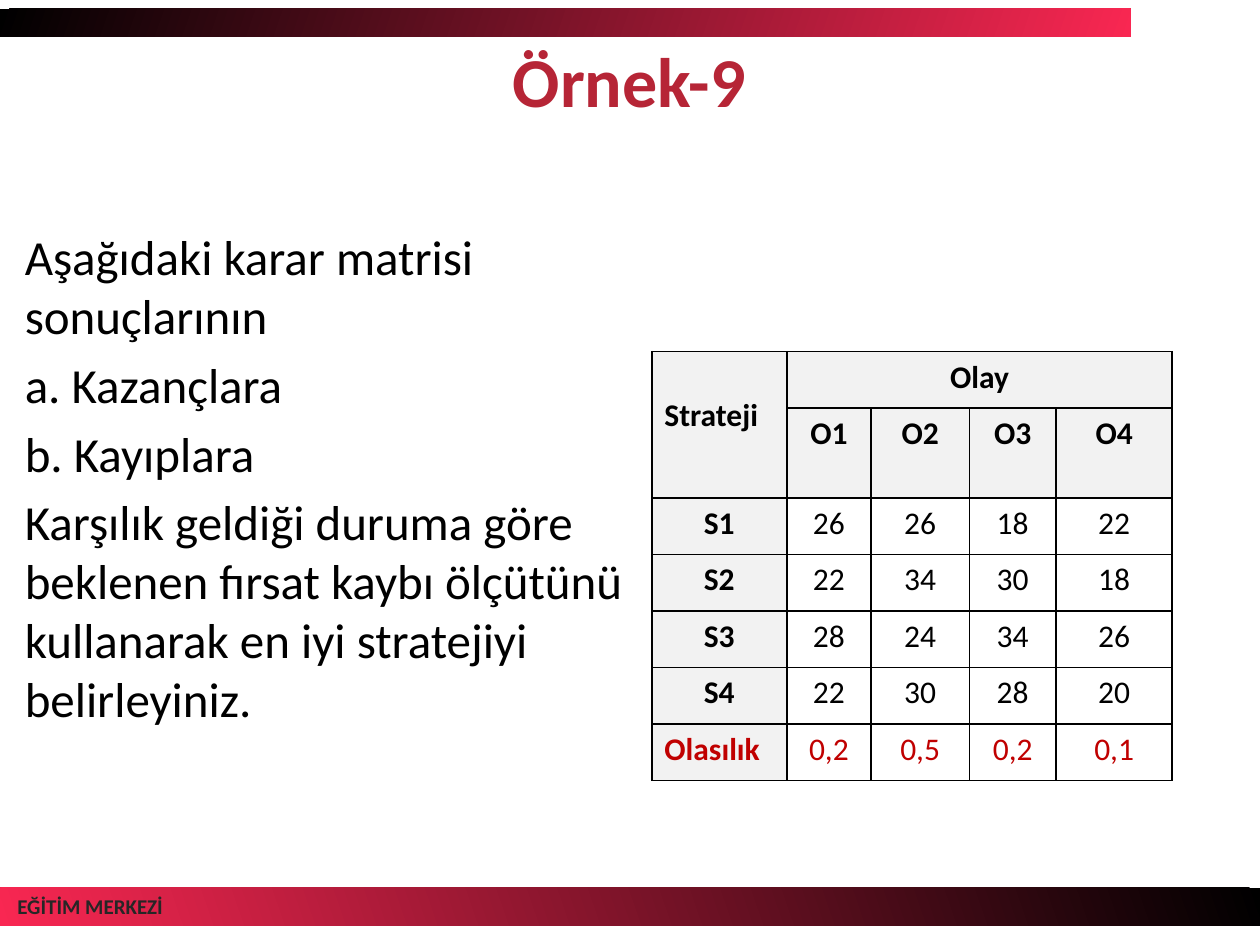
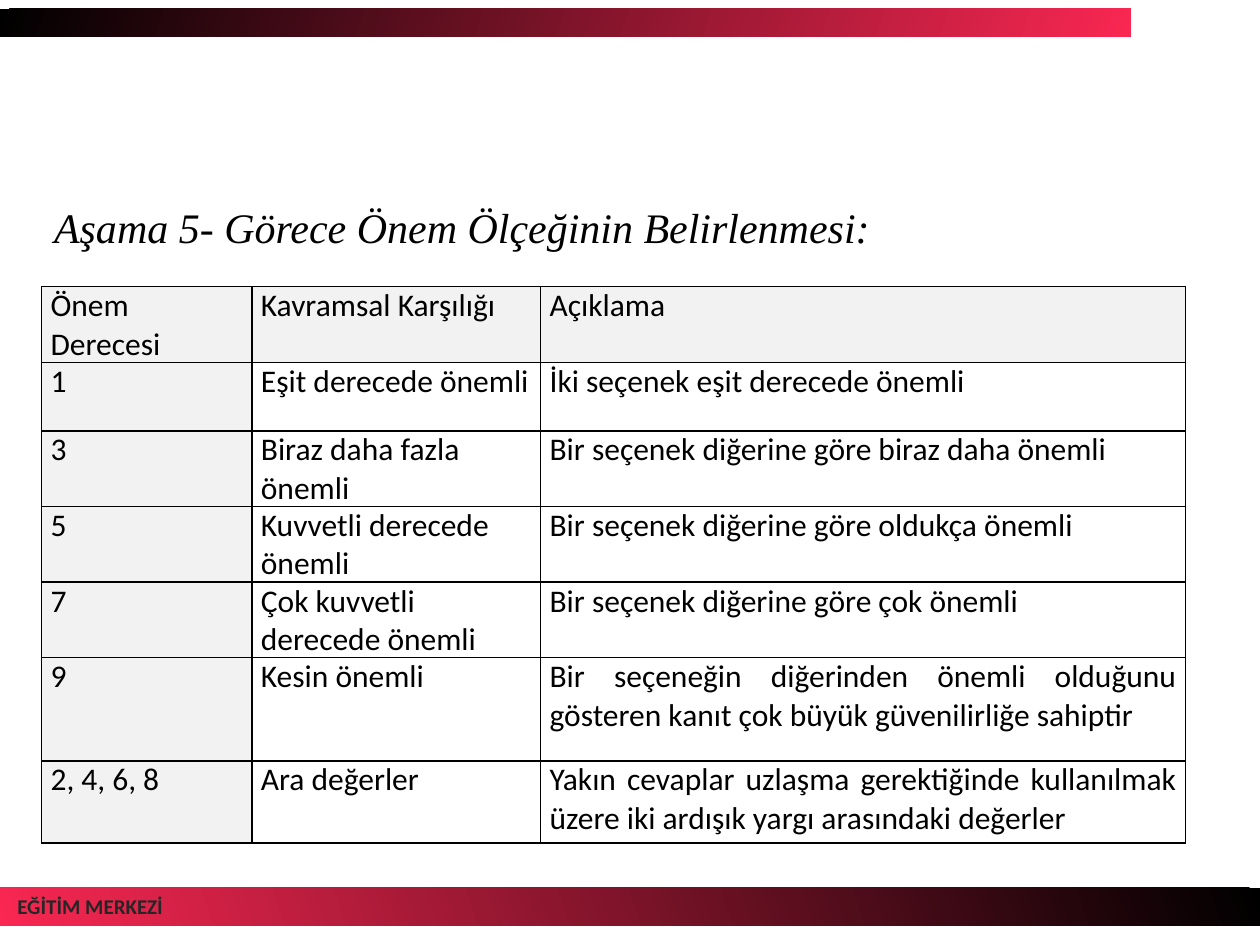
from dataclasses import dataclass

from lxml.etree import SubElement
from pptx import Presentation
from pptx.dml.color import RGBColor
from pptx.enum.shapes import MSO_SHAPE
from pptx.enum.text import MSO_ANCHOR, PP_ALIGN
from pptx.oxml.ns import qn
from pptx.util import Cm, Pt


@dataclass(frozen=True)
class Theme:
    black: str = "000000"
    white: str = "FFFFFF"
    band_red: str = "F92752"
    title_red: str = "B62536"
    accent_red: str = "C00000"
    footer_grey: str = "262626"
    cell_grey: str = "F2F2F2"
    font: str = "Calibri"
    serif: str = "Times New Roman"
    title_size: int = 40
    body_size: int = 28
    stage_size: int = 24
    table_size: int = 18
    footer_size: int = 12
    border_width: int = 1


THEME = Theme()

QUESTION = [
    "Aşağıdaki karar matrisi sonuçlarının",
    "a. Kazançlara",
    "b. Kayıplara",
    "Karşılık geldiği duruma göre beklenen fırsat kaybı ölçütünü "
    "kullanarak en iyi stratejiyi belirleyiniz.",
]

DECISION_MATRIX = [
    ["Strateji", "Olay", "", "", ""],
    ["", "O1", "O2", "O3", "O4"],
    ["S1", "26", "26", "18", "22"],
    ["S2", "22", "34", "30", "18"],
    ["S3", "28", "24", "34", "26"],
    ["S4", "22", "30", "28", "20"],
    ["Olasılık", "0,2", "0,5", "0,2", "0,1"],
]

IMPORTANCE_SCALE = [
    ["Önem Derecesi", "Kavramsal Karşılığı", "Açıklama"],
    ["1", "Eşit derecede önemli", "İki seçenek eşit derecede önemli"],
    ["3", "Biraz daha fazla önemli", "Bir seçenek diğerine göre biraz daha önemli"],
    ["5", "Kuvvetli derecede önemli", "Bir seçenek diğerine göre oldukça önemli"],
    ["7", "Çok kuvvetli derecede önemli", "Bir seçenek diğerine göre çok önemli"],
    ["9", "Kesin önemli",
     "Bir seçeneğin diğerinden önemli olduğunu gösteren kanıt çok büyük "
     "güvenilirliğe sahiptir"],
    ["2, 4, 6, 8", "Ara değerler",
     "Yakın cevaplar uzlaşma gerektiğinde kullanılmak üzere iki ardışık yargı "
     "arasındaki değerler"],
]


def style_paragraph(paragraph, size, color=THEME.black, bold=False, italic=False,
                    font=THEME.font, align=PP_ALIGN.LEFT):
    paragraph.alignment = align
    for span in paragraph.runs:
        span.font.name = font
        span.font.size = Pt(size)
        span.font.bold = bold
        span.font.italic = italic
        span.font.color.rgb = RGBColor.from_string(color)


def add_text(page, left, top, width, height, lines, size, wrap=True,
             anchor=MSO_ANCHOR.TOP, gap=0, **style):
    box = page.shapes.add_textbox(Cm(left), Cm(top), Cm(width), Cm(height))
    frame = box.text_frame
    frame.word_wrap = wrap
    frame.vertical_anchor = anchor
    frame.text = "\n".join(lines)
    for index, paragraph in enumerate(frame.paragraphs):
        style_paragraph(paragraph, size, **style)
        if index and gap:
            paragraph.space_before = Pt(gap)


def add_band(page, top, width, height, mirrored=False):
    band = page.shapes.add_shape(MSO_SHAPE.RECTANGLE, 0, Cm(top), Cm(width), Cm(height))
    band.shadow.inherit = False
    band.line.fill.background()
    band.fill.gradient()
    band.fill.gradient_angle = 341
    for stop, color in zip(band.fill.gradient_stops, (THEME.black, THEME.band_red)):
        stop.color.rgb = RGBColor.from_string(color)
    if mirrored:
        band._element.spPr.xfrm.set("flipH", "1")


def add_page(deck):
    page = deck.slides.add_slide(deck.slide_layouts[6])
    add_band(page, 17.9, 25.4, 0.76, mirrored=True)
    add_band(page, 0.18, 22.8, 0.56)
    add_text(page, 0.1, 17.88, 3.94, 0.76, ["EĞİTİM MERKEZİ"], THEME.footer_size,
             wrap=False, color=THEME.footer_grey, bold=True)
    return page


def set_borders(cell):
    properties = cell._tc.get_or_add_tcPr()
    for side in ("lnL", "lnR", "lnT", "lnB"):
        line = SubElement(properties, qn(f"a:{side}"), w=str(Pt(THEME.border_width)))
        fill = SubElement(line, qn("a:solidFill"))
        SubElement(fill, qn("a:srgbClr"), val=THEME.black)


def add_grid(page, left, top, widths, heights, rows, header_rows, cell_style):
    frame = page.shapes.add_table(len(rows), len(widths), Cm(left), Cm(top),
                                  Cm(sum(widths)), Cm(sum(heights)))
    table = frame.table
    table.first_row = table.horz_banding = False
    for column, width in zip(table.columns, widths):
        column.width = Cm(width)
    for row, height in zip(table.rows, heights):
        row.height = Cm(height)
    for row_index, row in enumerate(rows):
        for column_index, text in enumerate(row):
            cell = table.cell(row_index, column_index)
            set_borders(cell)
            shaded = row_index < header_rows or column_index == 0
            cell.fill.solid()
            cell.fill.fore_color.rgb = RGBColor.from_string(
                THEME.cell_grey if shaded else THEME.white)
            cell.text_frame.text = text
            style_paragraph(cell.text_frame.paragraphs[0], THEME.table_size,
                            **cell_style(row_index, column_index))
    return table


def matrix_style(row, column):
    row_title = column == 0 and row in (0, len(DECISION_MATRIX) - 1)
    return {
        "bold": row < 2 or column == 0,
        "color": THEME.accent_red if row == len(DECISION_MATRIX) - 1 else THEME.black,
        "align": PP_ALIGN.LEFT if row_title else PP_ALIGN.CENTER,
    }


def scale_style(row, column):
    return {"align": PP_ALIGN.LEFT if column == 1 and row else PP_ALIGN.JUSTIFY}


def add_example_page(deck):
    page = add_page(deck)
    add_text(page, 0.25, 1, 24.87, 1.22, ["Örnek-9"], THEME.title_size,
             anchor=MSO_ANCHOR.MIDDLE, color=THEME.title_red, bold=True,
             align=PP_ALIGN.CENTER)
    add_text(page, 0.25, 4.45, 12.88, 10.67, QUESTION, THEME.body_size, gap=5.6)
    heights = [1.14, 1.81] + [1.14] * 5
    table = add_grid(page, 13.14, 7.09, [2.72, 1.7, 1.98, 1.75, 2.34], heights,
                     DECISION_MATRIX, 2, matrix_style)
    table.cell(0, 0).merge(table.cell(1, 0))
    table.cell(0, 1).merge(table.cell(0, 4))
    table.cell(0, 0).margin_top = Cm(0.9)


def add_scale_page(deck):
    page = add_page(deck)
    add_text(page, 0.84, 3.94, 23.93, 1.27,
             ["Aşama 5- Görece Önem Ölçeğinin Belirlenmesi:"], THEME.stage_size,
             italic=True, font=THEME.serif)
    heights = [1.52, 1.38, 1.52, 1.52, 1.52, 2.08, 1.65]
    table = add_grid(page, 0.84, 5.78, [4.24, 5.82, 13], heights,
                     IMPORTANCE_SCALE, 1, scale_style)
    for cell in table.iter_cells():
        cell.margin_left = cell.margin_right = Cm(0.18)
        cell.margin_top = cell.margin_bottom = 0


def main():
    deck = Presentation()
    deck.slide_width, deck.slide_height = Cm(25.4), Cm(19.05)
    add_example_page(deck)
    add_scale_page(deck)
    deck.save("out.pptx")


if __name__ == "__main__":
    main()
